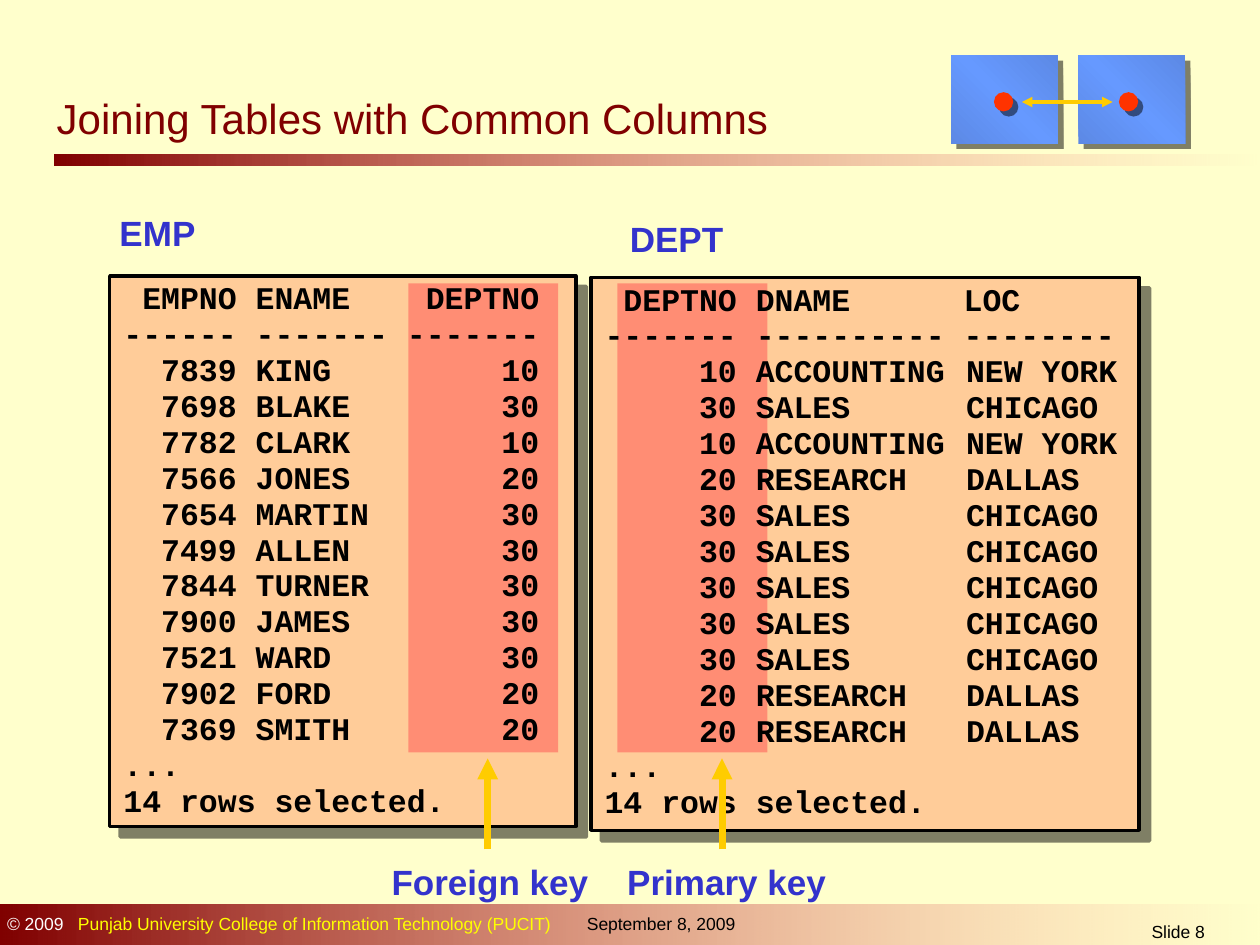
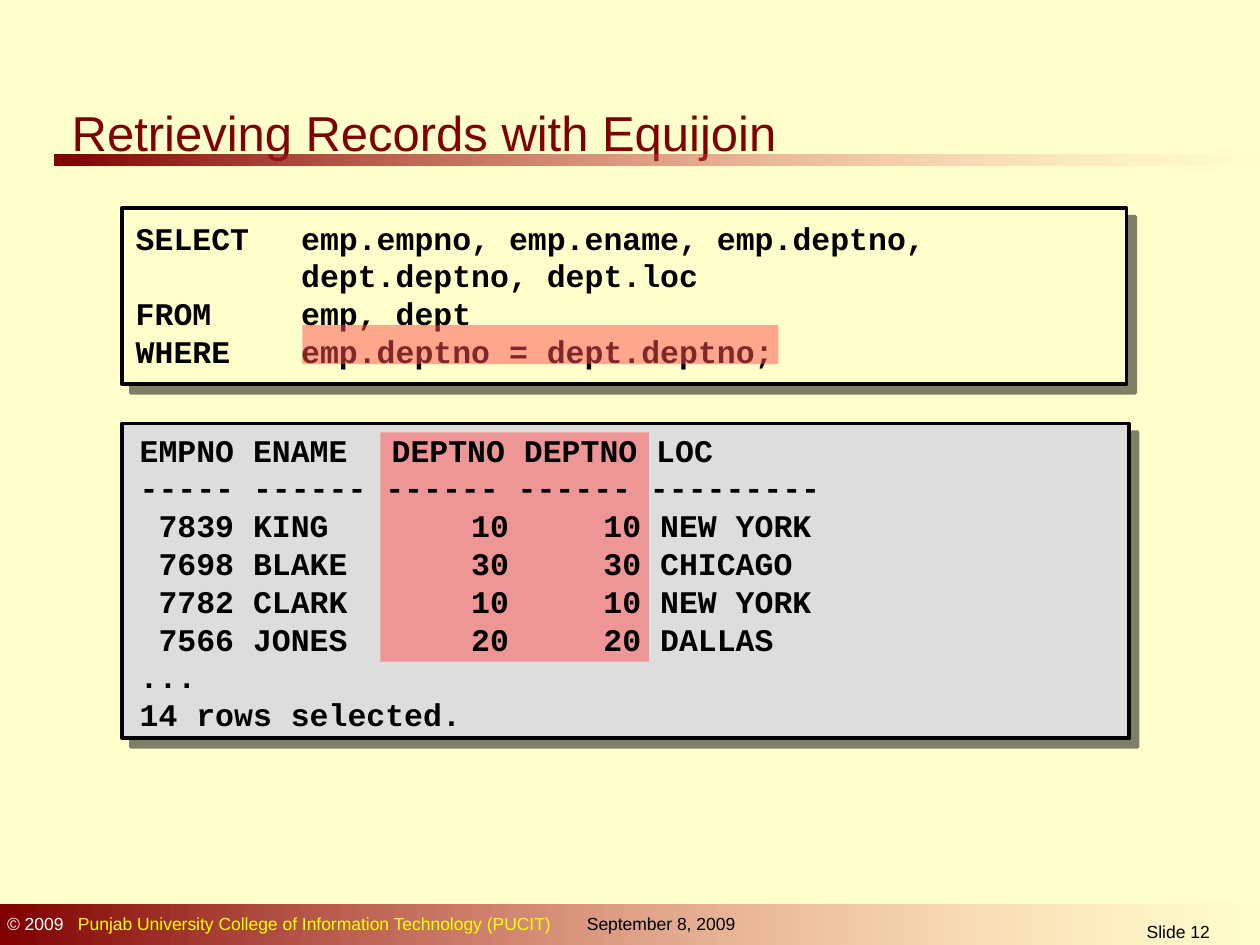
import lxml.etree
import pptx
import pptx.dml.color
import pptx.enum.shapes
import pptx.enum.text
import pptx.oxml.ns
import pptx.util

Pt = pptx.util.Pt
RGBColor = pptx.dml.color.RGBColor
SHAPE = pptx.enum.shapes.MSO_SHAPE
ALIGN = pptx.enum.text.PP_ALIGN
ANCHOR = pptx.enum.text.MSO_ANCHOR
qn = pptx.oxml.ns.qn

CREAM = RGBColor(0xFF, 0xFF, 0xCC)
MAROON = RGBColor(0x80, 0x00, 0x00)
PINK = RGBColor(0xFF, 0x85, 0x85)
PEACH = RGBColor(0xFF, 0xCC, 0x99)
GREY = RGBColor(0xDD, 0xDD, 0xDD)
CORAL = RGBColor(0xFF, 0x50, 0x50)
GOLD = RGBColor(0xFF, 0xCC, 0x00)
INDIGO = RGBColor(0x33, 0x33, 0xCC)
DARK_SKY = RGBColor(0x5C, 0x89, 0xE5)
SKY = RGBColor(0x66, 0x99, 0xFF)
SCARLET = RGBColor(0xFF, 0x33, 0x00)
YELLOW = RGBColor(0xFF, 0xFF, 0x00)
WHITE = RGBColor(0xFF, 0xFF, 0xFF)
BLACK = RGBColor(0x00, 0x00, 0x00)

SANS = "Arial"
MONO = "Courier New"

EMPLOYEES = [
    (7839, "KING", 10), (7698, "BLAKE", 30), (7782, "CLARK", 10),
    (7566, "JONES", 20), (7654, "MARTIN", 30), (7499, "ALLEN", 30),
    (7844, "TURNER", 30), (7900, "JAMES", 30), (7521, "WARD", 30),
    (7902, "FORD", 20), (7369, "SMITH", 20),
]
DEPARTMENTS = {
    10: ("ACCOUNTING", "NEW YORK"),
    20: ("RESEARCH", "DALLAS"),
    30: ("SALES", "CHICAGO"),
}
RESULT_END = ["...", "14 rows selected."]


def add_element(parent, tag, **attributes):
    return lxml.etree.SubElement(parent, qn(tag), attributes)


def set_alpha(color_element, percent):
    add_element(color_element, "a:alpha", val=str(percent * 1000))


def set_gradient(shape, stops, angle=0):
    shape.fill.gradient()
    shape.fill.gradient_angle = angle
    stop_list = shape._element.spPr.find(qn("a:gradFill")).find(qn("a:gsLst"))
    for default_stop in list(stop_list):
        stop_list.remove(default_stop)
    for position, color, alpha in stops:
        stop = add_element(stop_list, "a:gs", pos=str(position * 1000))
        set_alpha(add_element(stop, "a:srgbClr", val=str(color)), alpha)


def add_block(slide, box, fill=None, kind=SHAPE.RECTANGLE, border=None, shadow=0):
    block = slide.shapes.add_shape(kind, *map(Pt, box))
    block.shadow.inherit = False
    if fill is not None:
        block.fill.solid()
        block.fill.fore_color.rgb = fill
    if border is None:
        block.line.fill.background()
    else:
        block.line.color.rgb = border
        block.line.width = Pt(2)
    if shadow:
        effects = block._element.spPr.find(qn("a:effectLst"))
        cast = add_element(effects, "a:outerShdw", blurRad="0", dist=str(Pt(shadow)),
                           dir="2700000", algn="ctr", rotWithShape="0")
        set_alpha(add_element(cast, "a:srgbClr", val=str(BLACK)), 50)
    return block


def add_highlight(slide, box):
    highlight = add_block(slide, box, CORAL)
    fill = highlight._element.spPr.find(qn("a:solidFill"))
    set_alpha(fill.find(qn("a:srgbClr")), 50)


def add_text(slide, box, lines, size, color, font=SANS, bold=False, align=ALIGN.LEFT,
             spacing=1.0, tabs=(), anchor=ANCHOR.TOP):
    frame = slide.shapes.add_textbox(*map(Pt, box)).text_frame
    frame.word_wrap = True
    frame.vertical_anchor = anchor
    frame.text = "\n".join(lines)
    for paragraph in frame.paragraphs:
        paragraph.alignment = align
        paragraph.line_spacing = spacing
        if tabs:
            tab_list = add_element(paragraph._p.get_or_add_pPr(), "a:tabLst")
            for stop in tabs:
                add_element(tab_list, "a:tab", pos=str(Pt(stop)), algn="l")
        for run in paragraph.runs:
            style_run(run, size, color, font, bold)
    return frame


def style_run(run, size, color, font=SANS, bold=False):
    run.font.name = font
    run.font.size = Pt(size)
    run.font.bold = bold
    run.font.color.rgb = color


def add_arrow(slide, start, end, width, ends=("tailEnd",)):
    arrow = slide.shapes.add_connector(
        pptx.enum.shapes.MSO_CONNECTOR.STRAIGHT, *map(Pt, start + end))
    arrow.line.color.rgb = GOLD
    arrow.line.width = Pt(width)
    line = arrow.line._get_or_add_ln()
    for arrowhead in ends:
        add_element(line, f"a:{arrowhead}", type="triangle")
    add_element(arrow._element.spPr, "a:effectLst")


def add_bands(slide):
    fade = [(0, MAROON, 100), (100, PINK, 0)]
    for band in ((31, 88.5, 689, 6), (0, 517, 722, 25)):
        set_gradient(add_block(slide, band), fade)


def add_footer(slide, number, left=-3, top=518.4):
    credit = add_text(
        slide, (left, top, 465, 19.4),
        ["© 2009\tPunjab University College of Information Technology (PUCIT)"],
        10, YELLOW, tabs=[40.5])
    paragraph = credit.paragraphs[0]
    year, college = paragraph.text.split("\t")
    paragraph.text = year
    paragraph.add_run().text = "\t" + college
    for run, color in zip(paragraph.runs, (WHITE, YELLOW)):
        style_run(run, 10, color)
    add_text(slide, (left + 331.3, top, 111, 19.4), ["September 8, 2009"], 10, BLACK)
    add_text(slide, (left + 601.3, top + 4.3, 150, 17), [f"Slide {number}"], 10, BLACK,
             align=ALIGN.CENTER)


def start_slide(deck, title, box, size, number):
    slide = deck.slides.add_slide(deck.slide_layouts[5])
    add_bands(slide)
    add_footer(slide, number)
    heading = slide.shapes.title
    heading.left, heading.top, heading.width, heading.height = map(Pt, box)
    frame = heading.text_frame
    frame.text = title
    frame.auto_size = pptx.enum.text.MSO_AUTO_SIZE.NONE
    frame.vertical_anchor = ANCHOR.TOP
    frame.paragraphs[0].alignment = ALIGN.LEFT
    style_run(frame.paragraphs[0].runs[0], size, MAROON)
    return slide


def add_join_icon(slide, left, top):
    shading = [(0, DARK_SKY, 100), (50, SKY, 100), (100, DARK_SKY, 100)]
    for offset in (0, 72.7):
        tile = add_block(slide, (left + offset, top, 61, 50.5), shadow=4.2)
        set_gradient(tile, shading, 45)
    for offset in (24.4, 95.8):
        add_block(slide, (left + offset, top + 21, 11, 11), SCARLET, SHAPE.OVAL, shadow=4.2)
    add_arrow(slide, (left + 40.3, top + 26.6), (left + 92.2, top + 26.6), 2,
              ("headEnd", "tailEnd"))


def add_listing(slide, box, lines, spacing=1.0, tabs=(), anchor=ANCHOR.TOP):
    add_text(slide, box, lines, 18, BLACK, MONO, True, spacing=spacing, tabs=tabs,
             anchor=anchor)


def add_table_panel(slide, box, name, name_at, key_left, lines, tabs=()):
    left, top, width, height = box
    add_block(slide, box, PEACH, border=BLACK, shadow=8.5)
    add_text(slide, (*name_at, 80, 31), [name], 20, INDIGO, bold=True)
    add_highlight(slide, (key_left, 162, 85.7, 268))
    add_listing(slide, (left + 0.7, top - 0.7, width - 2, height), lines, 0.95, tabs)


def add_key(slide, label, center, arrow_x, top=486):
    add_text(slide, (center - 70, top, 140, 34), [label], 20, INDIGO, bold=True,
             align=ALIGN.CENTER, spacing=1.1)
    add_arrow(slide, (arrow_x, top - 0.7), (arrow_x, top - 52.6), 4)


def build_common_columns(deck):
    slide = start_slide(deck, "Joining Tables with Common Columns",
                        (25.2, 49, 512.6, 42.5), 24, 8)
    emp_row = "{:>6} {:<7} {:>7}".format
    emp = [emp_row("EMPNO", "ENAME", "DEPTNO"), emp_row("-" * 6, "-" * 7, "-" * 7)]
    emp += [emp_row(*employee) for employee in EMPLOYEES]
    dept = [" DEPTNO DNAME      LOC", "------- ---------- --------"]
    for _, _, number in EMPLOYEES:
        dname, loc = DEPARTMENTS[number]
        dept.append(f"{number:>7} {dname}\t{loc}")
    add_table_panel(slide, (62.7, 157.7, 266.4, 314.6), "EMP", (61.2, 117.4), 233.3,
                    emp + RESULT_END)
    add_table_panel(slide, (337.7, 158.5, 313.2, 316), "DEPT", (352.8, 121), 352.8,
                    dept + RESULT_END, [206.6])
    add_key(slide, "Foreign key", 280, 278.7)
    add_key(slide, "Primary key", 415.2, 412.6)
    add_join_icon(slide, 543.6, 31.7)


def add_query(slide, left, top, width, height):
    add_block(slide, (left, top, width, height), CREAM, border=BLACK, shadow=7.1)
    query = [
        "SELECT\temp.empno, emp.ename, emp.deptno,\v\tdept.deptno, dept.loc",
        "FROM\temp, dept",
        "WHERE\temp.deptno = dept.deptno;",
    ]
    add_listing(slide, (left + 0.7, top - 2.2, width + 2, height + 2.2), query,
                tabs=[94.5], anchor=ANCHOR.MIDDLE)
    add_highlight(slide, (left + 103, top + 67, 272, 22.3))


def add_result(slide, left, top, width, height):
    add_block(slide, (left, top, width, height), GREY, border=BLACK, shadow=7.1)
    add_highlight(slide, (left + 147.6, top + 5.2, 153.4, 131))
    result = ["EMPNO ENAME\tDEPTNO DEPTNO LOC", "----- ------ ------ ------ ---------"]
    for empno, ename, deptno in EMPLOYEES[:4]:
        loc = DEPARTMENTS[deptno][1]
        result.append(f"{empno:>5} {ename}\t\t{deptno}{deptno:>7} {loc}")
    add_listing(slide, (left + 2.9, top + 0.7, width - 2, height), result + RESULT_END,
                tabs=[144, 189.4])


def build_equijoin(deck):
    slide = start_slide(deck, "Retrieving Records with Equijoin",
                        (33.8, 54.7, 651.6, 31), 28, 12)
    add_query(slide, 69.8, 118.8, 574, 100.8)
    add_result(slide, 69.8, 241.9, 575.3, 180)


def main():
    deck = pptx.Presentation()
    deck.slide_width, deck.slide_height = Pt(720), Pt(540)
    background = deck.slide_master.background.fill
    background.solid()
    background.fore_color.rgb = CREAM
    build_common_columns(deck)
    build_equijoin(deck)
    deck.save("out.pptx")


if __name__ == "__main__":
    main()
